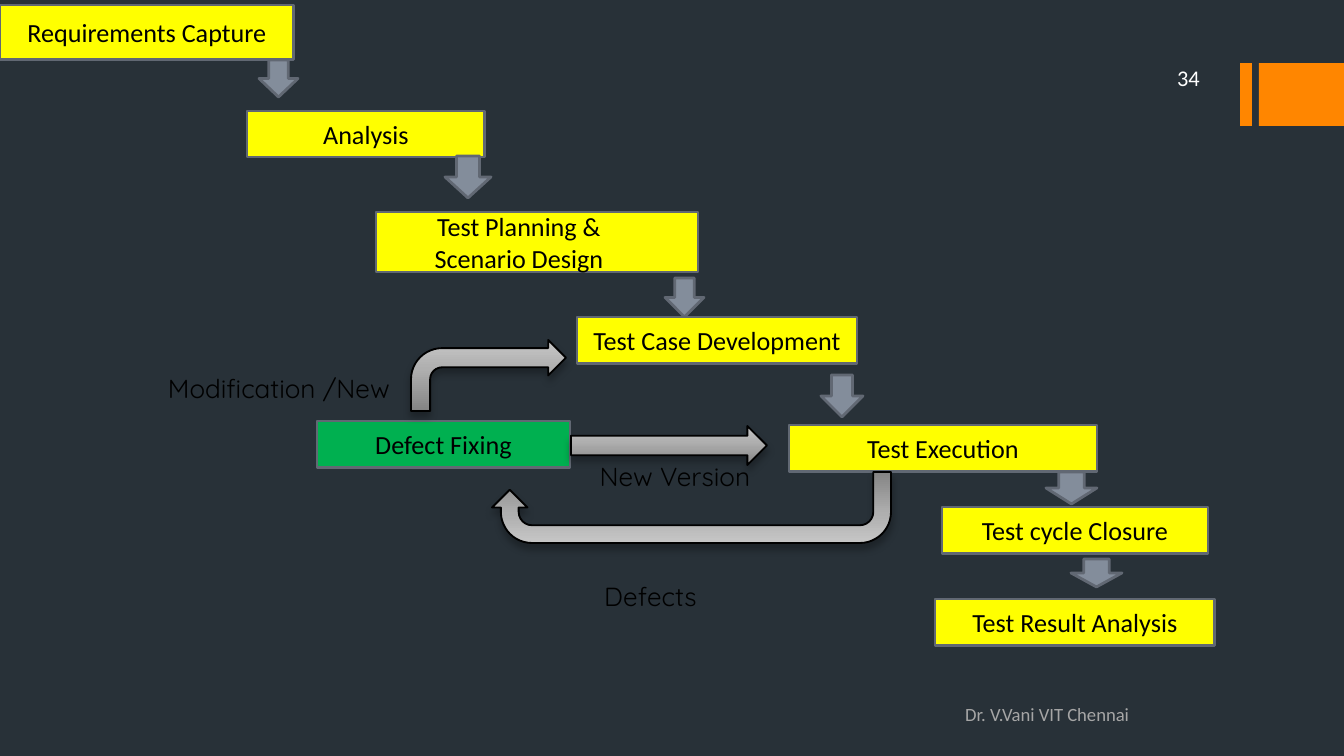
from copy import deepcopy
from dataclasses import dataclass

from lxml import etree
from pptx import Presentation
from pptx.dml.color import RGBColor
from pptx.enum.shapes import MSO_SHAPE
from pptx.enum.text import MSO_ANCHOR, PP_ALIGN
from pptx.oxml.ns import qn
from pptx.util import Emu, Pt

EMU_PER_PX = 914400 / 134.4
RECTANGLE = MSO_SHAPE.RECTANGLE
DOWN_ARROW = MSO_SHAPE.DOWN_ARROW
RIGHT_ARROW = MSO_SHAPE.RIGHT_ARROW
BENT_ARROW = MSO_SHAPE.BENT_ARROW
U_TURN_ARROW = MSO_SHAPE.U_TURN_ARROW
LEFT, CENTER, RIGHT = PP_ALIGN.LEFT, PP_ALIGN.CENTER, PP_ALIGN.RIGHT
TOP, MIDDLE = MSO_ANCHOR.TOP, MSO_ANCHOR.MIDDLE


@dataclass(frozen=True)
class Theme:
    """Colours, fonts and type sizes of the slide."""

    background: str = "283138"
    accent: str = "FF8600"
    stage: str = "FFFF00"
    fixing: str = "00B050"
    outline: str = "616873"
    step_arrow: str = "838D9B"
    loop_stops: tuple = ((0, "C6C6C6"), (0.41, "AFAFAF"), (1, "848484"))
    ink: str = "000000"
    number: str = "FFFFFF"
    footer: str = "A6A6A6"
    body_font: str = "Calibri"
    label_font: str = "Quicksand"
    body_size: int = 14
    number_size: int = 12
    footer_size: int = 10


THEME = Theme()

STAGES = [
    ("Requirements Capture", (0, 5, 294, 55)),
    ("Analysis", (247, 111, 238, 46)),
    ("Test Planning &\nScenario Design", (376, 212, 322, 60)),
    ("Test Case Development", (577, 317, 280, 47)),
    ("Test Execution", (789, 425, 308, 47)),
    ("Test cycle Closure", (942, 507, 266, 47)),
    ("Test Result Analysis", (935, 599, 280, 47)),
]
STEP_ARROWS = [
    (259, 60, 39, 37),
    (445, 156, 46, 42),
    (665, 278, 39, 39),
    (821, 375, 42, 42),
    (1046, 472, 51, 32),
    (1071, 559, 51, 28),
]
LOOP_LABELS = [
    ("Modification /New", (138, 366, 282, 45)),
    ("Defects", (524, 574, 253, 34)),
    ("New Version", (574, 454, 202, 34)),
]


def px(length):
    """Turn px into EMU."""
    return Emu(round(length * EMU_PER_PX))


def rgb(code):
    """Turn a hex code into a colour."""
    return RGBColor.from_string(code)


def write_text(frame, text, *, size=THEME.body_size, font=THEME.body_font,
               color=THEME.ink, align=CENTER, anchor=MIDDLE, first_indent=0):
    """Write one paragraph per line, with an optional right indent on the first."""
    frame.word_wrap = True
    frame.vertical_anchor = anchor
    frame.text = text
    for paragraph in frame.paragraphs:
        paragraph.alignment = align
        for run in paragraph.runs:
            run.font.size = Pt(size)
            run.font.name = font
            run.font.color.rgb = rgb(color)
    if first_indent:
        properties = frame.paragraphs[0]._p.get_or_add_pPr()
        properties.set("marR", str(px(first_indent)))


def add_label(slide, text, box, **text_format):
    """Add a text box."""
    frame = slide.shapes.add_textbox(*map(px, box)).text_frame
    write_text(frame, text, **text_format)
    return frame


def add_block(slide, kind, box, fill, outline=THEME.outline):
    """Add a flat shape, outlined unless outline is None."""
    block = slide.shapes.add_shape(kind, *map(px, box))
    block.shadow.inherit = False
    block.fill.solid()
    block.fill.fore_color.rgb = rgb(fill)
    if outline:
        block.line.color.rgb = rgb(outline)
        block.line.width = Pt(1.5)
    else:
        block.line.fill.background()
    return block


def add_stage(slide, text, box, fill=THEME.stage, **text_format):
    """Add a captioned process box."""
    stage = add_block(slide, RECTANGLE, box, fill)
    write_text(stage.text_frame, text, **text_format)


def fill_gradient(shape, stops):
    """Fill a shape from top to bottom with the given colour stops."""
    shape.fill.gradient()
    shape.fill.gradient_angle = 270
    stop_list = shape._element.spPr.find(".//" + qn("a:gsLst"))
    stop_list.insert(1, deepcopy(stop_list[0]))
    for stop, (position, color) in zip(shape.fill.gradient_stops, stops):
        stop.position = position
        stop.color.rgb = rgb(color)


def add_drop_shadow(shape):
    """Give a shape a soft shadow below it."""
    shape.shadow.inherit = False
    effects = shape._element.spPr.find(qn("a:effectLst"))
    shadow = etree.SubElement(effects, qn("a:outerShdw"), blurRad=str(Pt(4)),
                              dist=str(Pt(3)), dir="5400000", rotWithShape="0")
    color = etree.SubElement(shadow, qn("a:srgbClr"), val=THEME.ink)
    etree.SubElement(color, qn("a:alpha"), val="28000")


def add_loop_arrow(slide, kind, box, rotation=0, adjustments=()):
    """Add a shaded arrow of the defect loop."""
    arrow = slide.shapes.add_shape(kind, *map(px, box))
    arrow.rotation = rotation
    for index, value in enumerate(adjustments):
        arrow.adjustments[index] = value
    fill_gradient(arrow, THEME.loop_stops)
    arrow.line.color.rgb = rgb(THEME.ink)
    arrow.line.width = Pt(1)
    add_drop_shadow(arrow)


def add_page_furniture(slide):
    """Add the background, accent bars, footer and page number."""
    slide.background.fill.solid()
    slide.background.fill.fore_color.rgb = rgb(THEME.background)
    for left, width in ((1240, 12), (1259, 85)):
        add_block(slide, RECTANGLE, (left, 63, width, 63), THEME.accent, None)
    footer = add_label(slide, "Dr. V.Vani VIT Chennai", (952, 703, 331, 34),
                       size=THEME.footer_size, color=THEME.footer,
                       align=LEFT, anchor=TOP)
    footer.margin_top = 0
    add_label(slide, "34", (1075, 61, 138, 34), size=THEME.number_size,
              color=THEME.number, align=RIGHT)


def main():
    """Build the testing life cycle slide."""
    deck = Presentation()
    deck.slide_width, deck.slide_height = px(1344), px(756)
    slide = deck.slides.add_slide(deck.slide_layouts[6])
    add_page_furniture(slide)
    for text, box in STAGES:
        add_stage(slide, text, box, first_indent=36 if "\n" in text else 0)
    add_stage(slide, "Defect Fixing", (317, 421, 253, 47), THEME.fixing)
    add_loop_arrow(slide, RIGHT_ARROW, (571, 426, 196, 39))
    add_loop_arrow(slide, BENT_ARROW, (411, 340, 155, 71),
                   adjustments=(0.27, 0.25, 0.25, 0.44))
    add_loop_arrow(slide, U_TURN_ARROW, (492, 472, 399, 71), rotation=180)
    for text, box in LOOP_LABELS:
        add_label(slide, text, box, font=THEME.label_font, anchor=TOP)
    for box in STEP_ARROWS:
        add_block(slide, DOWN_ARROW, box, THEME.step_arrow)
    deck.save("out.pptx")


if __name__ == "__main__":
    main()
